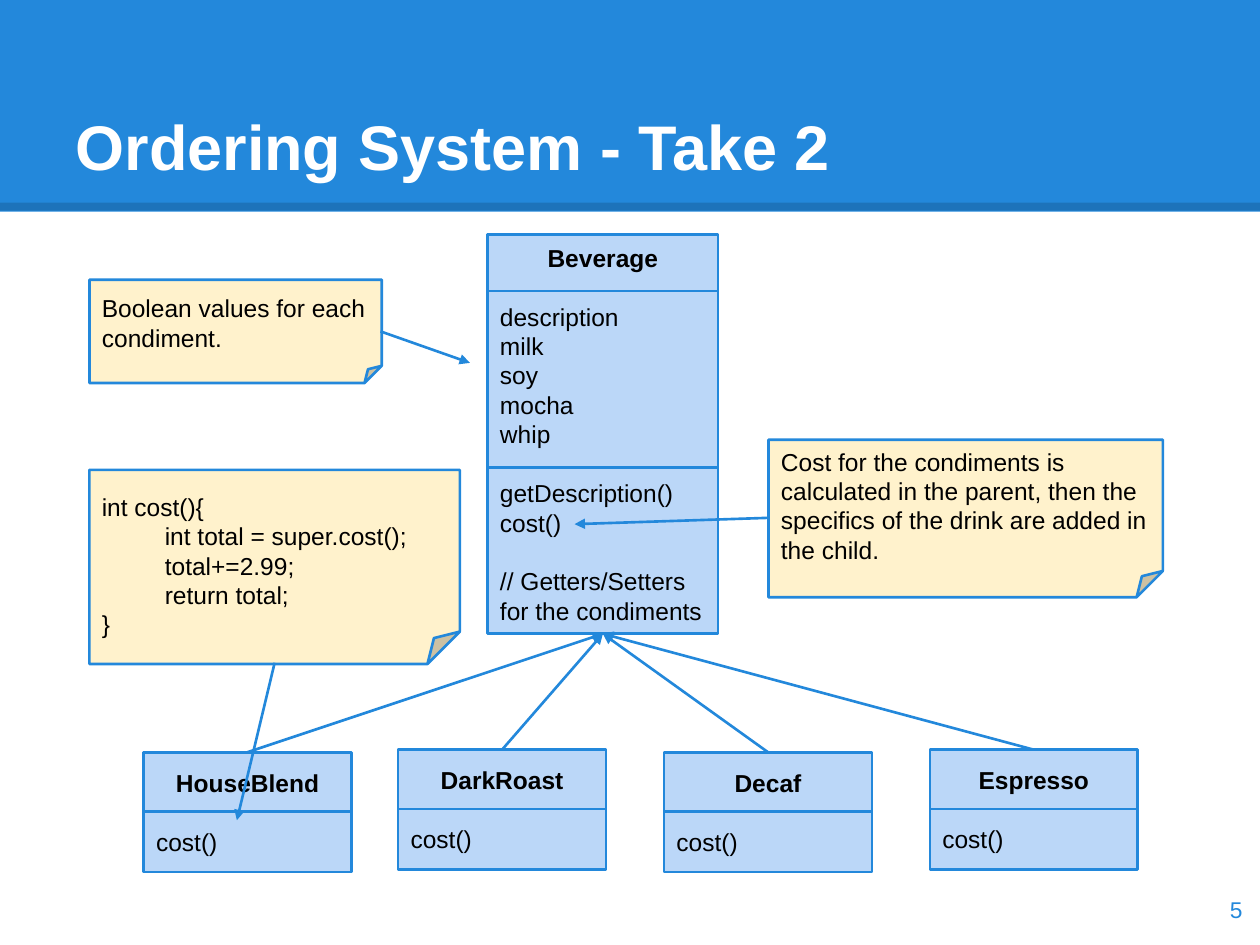
from dataclasses import dataclass

from lxml import etree
from pptx import Presentation
from pptx.dml.color import RGBColor
from pptx.enum.shapes import MSO_CONNECTOR, MSO_SHAPE
from pptx.enum.text import MSO_ANCHOR, MSO_AUTO_SIZE, PP_ALIGN
from pptx.oxml.ns import qn
from pptx.util import Inches, Pt

RECT, NOTE = MSO_SHAPE.RECTANGLE, MSO_SHAPE.FOLDED_CORNER
STRAIGHT = MSO_CONNECTOR.STRAIGHT
MIDDLE, BOTTOM = MSO_ANCHOR.MIDDLE, MSO_ANCHOR.BOTTOM
LEFT, CENTER, RIGHT = PP_ALIGN.LEFT, PP_ALIGN.CENTER, PP_ALIGN.RIGHT
FIXED = MSO_AUTO_SIZE.NONE
Point = tuple[float, float]


@dataclass(frozen=True)
class Theme:
    font: str = "Arial"
    blue: str = "2388DB"
    pale: str = "BBD7F8"
    cream: str = "FFF2CC"
    white: str = "FFFFFF"
    black: str = "000000"
    title: float = 36
    body: float = 14
    number: float = 13
    pitch: float = 16.8
    line: float = 1.5
    pad: float = 0.1


@dataclass(frozen=True)
class Box:
    left: float
    top: float
    width: float
    height: float

    @property
    def right(self) -> float:
        return self.left + self.width

    @property
    def head(self) -> Point:
        return self.left + self.width / 2, self.top

    @property
    def foot(self) -> Point:
        return self.left + self.width / 2, self.top + self.height

    @property
    def lengths(self) -> list:
        return [Inches(v) for v in (self.left, self.top, self.width, self.height)]


@dataclass(frozen=True)
class Entity:
    name: str
    box: Box
    groups: tuple[tuple[str, ...], ...]  # set one line apart
    rules: tuple[float, ...]             # dividers, measured from the top


@dataclass(frozen=True)
class Memo:
    box: Box
    lines: tuple[str, ...]
    start: Point
    end: Point
    drop: float = 0


THEME = Theme()


def color(code: str) -> RGBColor:
    return RGBColor.from_string(code)


def setup(frame, anchor=MIDDLE, drop: float = 0) -> None:
    frame.word_wrap = True
    frame.auto_size = FIXED
    frame.vertical_anchor = anchor
    frame.margin_left = frame.margin_right = frame.margin_bottom = Inches(THEME.pad)
    frame.margin_top = Inches(THEME.pad + drop)


def write(frame, text: str, *, size=THEME.body, ink=THEME.black, bold=False,
          align=LEFT, before: float = 0, pitch=None) -> None:
    """Fill the first paragraph, or add one when it is taken."""
    para = frame.paragraphs[0]
    if para.runs:
        para = frame.add_paragraph()
    para.alignment = align
    para.space_before = Pt(before)
    if pitch:
        para.line_spacing = Pt(pitch)
    run = para.add_run()
    run.text = text
    font = run.font
    font.name, font.size, font.bold = THEME.font, Pt(size), bold
    font.color.rgb = color(ink)


def panel(slide, kind, box: Box, fill: str, edge: bool = True):
    shape = slide.shapes.add_shape(kind, *box.lengths)
    shape.shadow.inherit = False
    shape.fill.solid()
    shape.fill.fore_color.rgb = color(fill)
    if edge:
        shape.line.color.rgb = color(THEME.blue)
        shape.line.width = Pt(THEME.line)
    else:
        shape.line.fill.background()
    return shape


def link(slide, start: Point, end: Point, *, ink=THEME.blue, width=THEME.line,
         arrow: bool = False):
    line = slide.shapes.add_connector(STRAIGHT, *map(Inches, start + end))
    line.line.color.rgb = color(ink)
    line.line.width = Pt(width)
    etree.SubElement(line._element.spPr, qn("a:effectLst"))
    if arrow:
        etree.SubElement(line.line._get_or_add_ln(), qn("a:tailEnd"), type="triangle")
    return line


def entity(slide, item: Entity) -> None:
    box = item.box
    frame = panel(slide, RECT, box, THEME.pale).text_frame
    setup(frame)
    write(frame, item.name, bold=True, align=CENTER, pitch=THEME.pitch)
    for group in item.groups:
        for i, text in enumerate(group):
            write(frame, text, before=0 if i else THEME.pitch, pitch=THEME.pitch)
    for rule in item.rules:
        y = box.top + rule
        link(slide, (box.left, y), (box.right, y))


def memo(slide, item: Memo) -> None:
    frame = panel(slide, NOTE, item.box, THEME.cream).text_frame
    setup(frame, drop=item.drop)
    for text in item.lines:
        write(frame, text, pitch=THEME.pitch)
    link(slide, item.start, item.end, arrow=True)


def banner(slide) -> None:
    band = panel(slide, RECT, Box(0, 0, 10, 1.68), THEME.blue, edge=False)
    edge = link(slide, (0, 1.64), (10, 1.64), ink=THEME.black, width=4.5)
    tint = edge._element.find(".//" + qn("a:srgbClr"))
    etree.SubElement(tint, qn("a:alpha"), val="15000")
    # The band goes behind the title
    for spot, shape in enumerate((band, edge), start=2):
        slide.shapes._spTree.insert(spot, shape._element)
    title = slide.shapes.title
    title.left, title.top, title.width, title.height = Box(0.5, 0.3, 9, 1.25).lengths
    setup(title.text_frame, BOTTOM)
    write(title.text_frame, "Ordering System - Take 2", size=THEME.title,
          ink=THEME.white, bold=True)


PARENT = Entity("Beverage", Box(3.87, 1.86, 1.83, 3.17), (
    ("description", "milk", "soy", "mocha", "whip"),
    ("getDescription()", "cost()"),
    ("// Getters/Setters for the condiments",),
), (0.45, 1.85))

DRINKS = [Entity(name, Box(left, top, 1.65, 0.95), (("cost()",),), (0.47,))
          for name, left, top in (("HouseBlend", 1.14, 5.97), ("DarkRoast", 3.16, 5.95),
                                  ("Decaf", 5.27, 5.97), ("Espresso", 7.38, 5.95))]

MEMOS = [
    Memo(Box(0.71, 2.22, 2.32, 0.82), ("Boolean values for each condiment.",),
         (3.02, 2.63), (3.73, 2.88)),
    Memo(Box(6.1, 3.49, 3.13, 1.25),
         ("Cost for the condiments is calculated in the parent, then the "
          "specifics of the drink are added in the child.",),
         (6.1, 4.11), (4.56, 4.16)),
    Memo(Box(0.71, 3.73, 2.94, 1.54),
         ("int cost(){", "\tint total = super.cost();", "\ttotal+=2.99;",
          "\treturn total;", "}"),
         (2.18, 5.26), (1.88, 6.51), drop=0.23),
]


def main() -> None:
    deck = Presentation()
    deck.slide_width, deck.slide_height = Inches(10), Inches(7.5)
    slide = deck.slides.add_slide(deck.slide_layouts[5])
    banner(slide)
    # Class diagram
    for item in (PARENT, *DRINKS):
        entity(slide, item)
    for drink in DRINKS:
        link(slide, drink.box.head, PARENT.box.foot, arrow=True)
    # Notes on the diagram
    for item in MEMOS:
        memo(slide, item)
    # Slide number
    number = slide.shapes.add_textbox(*Box(9.36, 6.93, 0.6, 0.57).lengths).text_frame
    setup(number)
    write(number, "5", size=THEME.number, ink=THEME.blue, align=RIGHT)
    deck.save("out.pptx")


if __name__ == "__main__":
    main()
